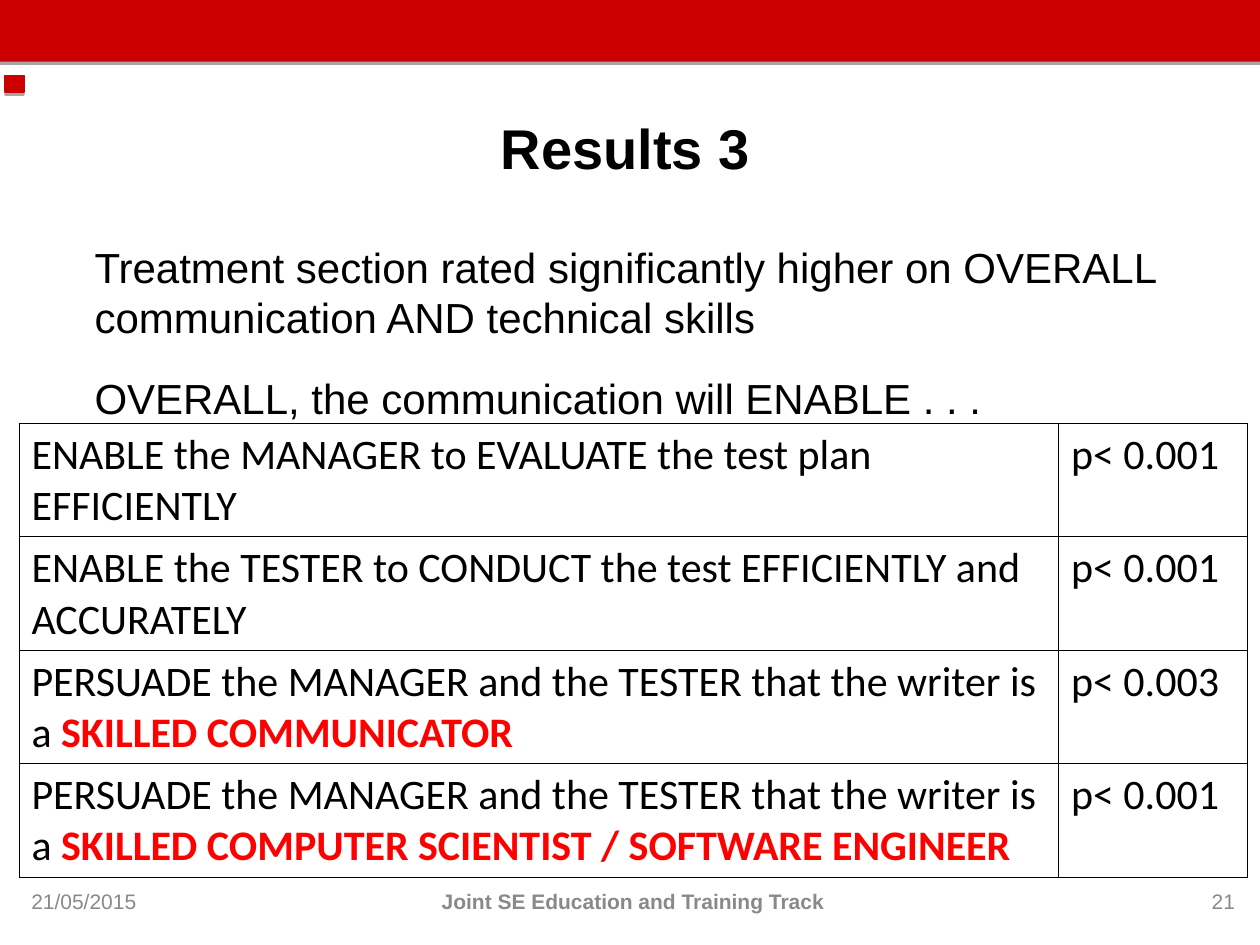
from lxml import etree
from pptx import Presentation
from pptx import util as u
from pptx.dml.color import RGBColor
from pptx.enum import shapes, text
from pptx.oxml import ns

RED = RGBColor(0xCC, 0x00, 0x01)
HIGHLIGHT = RGBColor(0xFF, 0x00, 0x00)
BLACK = RGBColor(0, 0, 0)
GREY = RGBColor(0x89, 0x89, 0x89)
SHADOW = (f'<a:effectLst {ns.nsdecls("a")}><a:outerShdw dist="22860" dir="5400000" rotWithShape="0">'
          '<a:srgbClr val="000000"><a:alpha val="35000"/></a:srgbClr></a:outerShdw></a:effectLst>')
LEFT, WIDTH = 10.8, 702
ROW_HEIGHT, TABLE_TOP = 64.8, 241.9

FINDINGS = [
    ("ENABLE the MANAGER to EVALUATE the test plan EFFICIENTLY", "", "p< 0.001"),
    ("ENABLE the TESTER to CONDUCT the test EFFICIENTLY and ACCURATELY", "", "p< 0.001"),
    ("PERSUADE the MANAGER and the TESTER that the writer is a ", "SKILLED COMMUNICATOR", "p< 0.003"),
    ("PERSUADE the MANAGER and the TESTER that the writer is a ",
     "SKILLED COMPUTER SCIENTIST / SOFTWARE ENGINEER", "p< 0.001"),
]


class SlideWriter:
    """Holds the style and the current slide; all lengths are in points."""

    heading_font, table_font = "Arial", "Calibri"

    def __init__(self, deck):
        self.slide = deck.slides.add_slide(deck.slide_layouts[1])

    def place(self, box, left, top, width, height):
        box.left, box.top, box.width, box.height = map(u.Pt, (left, top, width, height))

    def style(self, span, size, color=BLACK, bold=False, font=heading_font):
        span.font.size, span.font.name, span.font.bold = u.Pt(size), font, bold
        span.font.color.rgb = color

    def bar(self, *bounds, outlined=False):
        shape = self.slide.shapes.add_shape(shapes.MSO_SHAPE.RECTANGLE, *map(u.Pt, bounds))
        shape.fill.solid()
        shape.fill.fore_color.rgb = RED
        if outlined:
            shape.line.color.rgb, shape.line.width = RED, u.Pt(0.75)
        else:
            shape.line.fill.background()
        shape._element.spPr.append(etree.fromstring(SHADOW))

    def title(self, words, *bounds):
        box = self.slide.shapes.title
        self.place(box, *bounds)
        box.text_frame.text = words
        box.text_frame.auto_size = text.MSO_AUTO_SIZE.NONE
        box.text_frame.vertical_anchor = text.MSO_ANCHOR.MIDDLE
        para = box.text_frame.paragraphs[0]
        para.alignment = text.PP_ALIGN.CENTER
        self.style(para.runs[0], 32, bold=True)

    def body(self, lines, *bounds):
        box = self.slide.placeholders[1]
        self.place(box, *bounds)
        frame = box.text_frame
        frame.text = "\n".join(lines)
        frame.auto_size = text.MSO_AUTO_SIZE.NONE
        for index, para in enumerate(frame.paragraphs):
            para.level = 1
            properties = para._p.get_or_add_pPr()
            properties.set("marL", str(u.Pt(36)))
            properties.set("indent", "0")
            etree.SubElement(properties, ns.qn("a:buNone"))
            para.line_spacing = u.Pt(29)
            para.space_before = u.Pt(17 if index else 0)
            self.style(para.runs[0], 24)

    def footer(self, words, left, width, align, bold=False):
        box = self.slide.shapes.add_textbox(*map(u.Pt, (left, 500.4, width, 28.8)))
        frame = box.text_frame
        frame.text, frame.word_wrap = words, True
        frame.vertical_anchor = text.MSO_ANCHOR.MIDDLE
        frame.paragraphs[0].alignment = align
        self.style(frame.paragraphs[0].runs[0], 12, GREY, bold)

    def border(self, cell):
        properties = cell._tc.get_or_add_tcPr()
        for index, side in enumerate(("lnL", "lnR", "lnT", "lnB")):
            line = etree.Element(ns.qn(f"a:{side}"), w=str(u.Pt(0.45)))
            fill = etree.SubElement(line, ns.qn("a:solidFill"))
            etree.SubElement(fill, ns.qn("a:srgbClr"), val=str(BLACK))
            properties.insert(index, line)

    def finding(self, statement, emphasis, p_value, top):
        """Adds a one-row table with a statement and its p value."""
        table = self.slide.shapes.add_table(
            1, 2, *map(u.Pt, (LEFT, top, WIDTH, ROW_HEIGHT))).table
        table.first_row = table.horz_banding = False
        contents = ((594, statement, emphasis), (108, p_value, ""))
        for column, cell, (width, plain, strong) in zip(table.columns, table.rows[0].cells, contents):
            column.width = u.Pt(width)
            cell.fill.background()
            self.border(cell)
            para = cell.text_frame.paragraphs[0]
            para.text = plain
            self.style(para.runs[0], 24, font=self.table_font)
            if strong:
                span = para.add_run()
                span.text = strong
                self.style(span, 24, HIGHLIGHT, True, self.table_font)


def main():
    deck = Presentation()
    deck.slide_width, deck.slide_height = u.Pt(720), u.Pt(540)
    writer = SlideWriter(deck)
    writer.bar(0, 0, 720, 35.3)
    writer.title("Results 3 ", LEFT, 41.8, WIDTH, 84.2)
    writer.footer("21/05/2015", LEFT, 82.8, text.PP_ALIGN.LEFT)
    writer.footer("Joint SE Education and Training Track", 109.4, 504.7, text.PP_ALIGN.CENTER, bold=True)
    writer.footer("21", 679.7, 33.1, text.PP_ALIGN.RIGHT)
    writer.body(["Treatment section rated significantly higher on OVERALL communication AND technical skills",
                 "OVERALL, the communication will ENABLE . . ."], LEFT, 133.9, WIDTH, 348.5)
    for index, finding in enumerate(FINDINGS):
        writer.finding(*finding, top=TABLE_TOP + index * ROW_HEIGHT)
    writer.bar(2.9, 43.2, 10.8, 9.4, outlined=True)
    deck.save("out.pptx")


if __name__ == "__main__":
    main()
